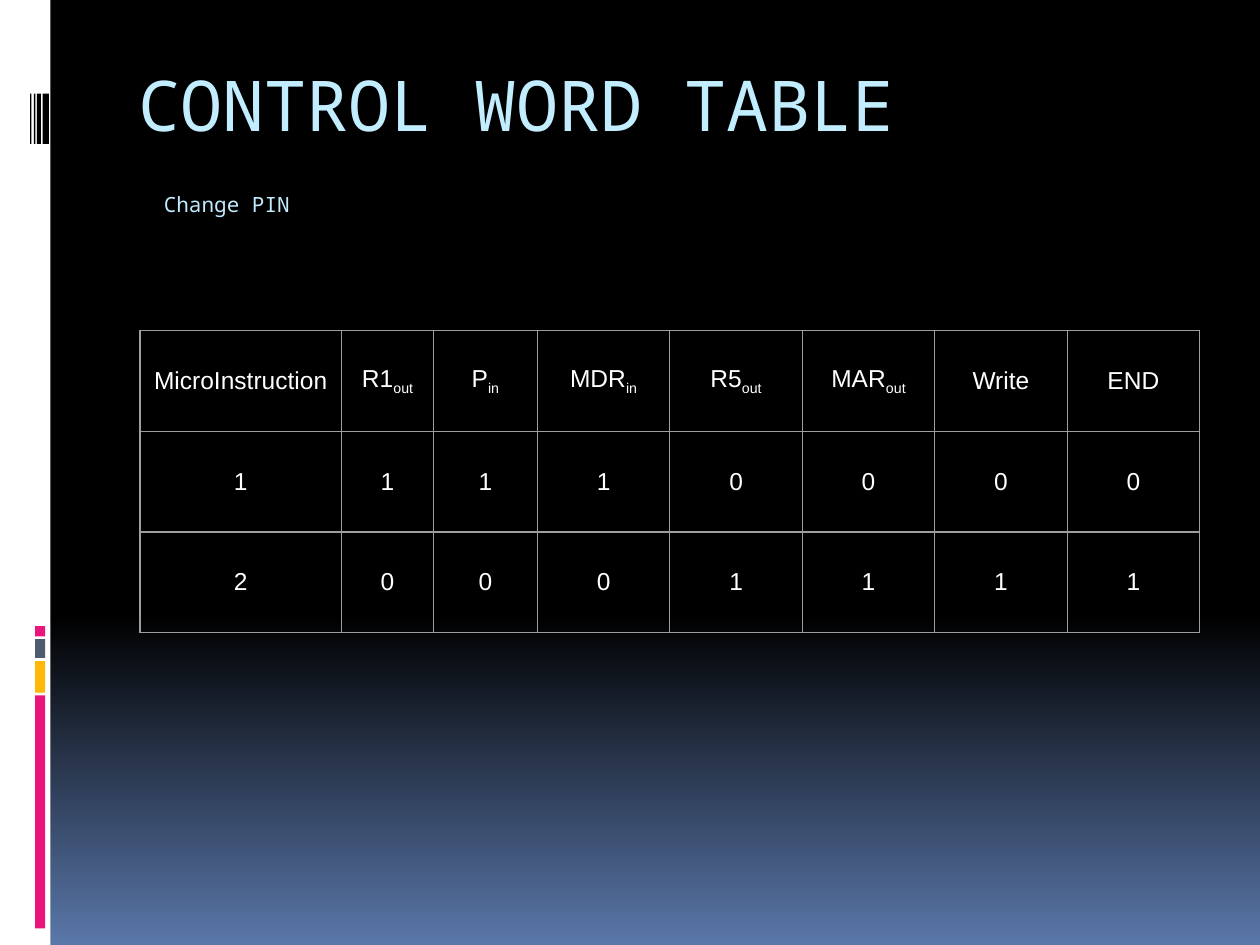
"""Build the control word table slide for the Change PIN operation."""
from copy import deepcopy

from lxml.etree import SubElement
from pptx import Presentation
from pptx.dml.color import RGBColor
from pptx.enum.shapes import MSO_SHAPE
from pptx.enum.text import MSO_ANCHOR, MSO_AUTO_SIZE, PP_ALIGN
from pptx.oxml.ns import qn
from pptx.util import Pt

BLACK = RGBColor(0x00, 0x00, 0x00)
WHITE = RGBColor(0xFF, 0xFF, 0xFF)
BLUE = RGBColor(0x5A, 0x77, 0xA9)
PALE = RGBColor(0xC1, 0xED, 0xFF)
PINK = RGBColor(0xEA, 0x15, 0x7A)
AMBER = RGBColor(0xFE, 0xB8, 0x0A)
SLATE = RGBColor(0x4E, 0x5B, 0x6F)
GRID = RGBColor(0x9E, 0x9E, 0x9E)

BARCODE = [(17.2, 0.7), (19.4, 0.9), (21.1, 2.3), (24.4, 3.6)]
ACCENTS = [(357.8, 5.8, PINK), (365.2, 10.8, SLATE), (377.8, 18, AMBER), (397.4, 133.2, PINK)]
COLUMNS = [115.2, 52.5, 59.4] + [75.7] * 5
ROWS = [
    ["MicroInstruction", "R1_out", "P_in", "MDR_in", "R5_out", "MAR_out", "Write", "END"],
    list("11110000"),
    list("20001111"),
]


def write(tf, text, font="Arial", size=14, color=WHITE, align=PP_ALIGN.LEFT):
    """Write one paragraph; what follows an underscore is subscript."""
    p = tf.paragraphs[0]
    p.alignment = align
    p.space_before = Pt(0)
    base, _, sub = text.partition("_")
    for part, baseline in ((base, 0), (sub, -25000)):
        if part:
            r = p.add_run()
            r.text = part
            r.font.name = font
            r.font.size = Pt(size)
            r.font.color.rgb = color
            if baseline:
                r.font._element.set("baseline", str(baseline))


class Deck:
    """Hold the style and the current slide."""

    heading_font = "Noto Sans Mono"
    inset = Pt(7.2)

    def __init__(self):
        self.prs = Presentation()
        self.prs.slide_width, self.prs.slide_height = Pt(720), Pt(540)
        self.s = self.prs.slides.add_slide(self.prs.slide_layouts[0])

    def background(self):
        """Fade from black to blue over the lower third."""
        fill = self.s.background.fill
        fill.gradient()
        fill.gradient_angle = 270
        for stop, pos, color in zip(fill.gradient_stops, (0, 1), (BLACK, BLUE)):
            stop.position = pos
            stop.color.rgb = color
        first = self.s.element.xpath(".//p:bg//a:gs")[0]
        middle = deepcopy(first)
        middle.set("pos", "65000")
        first.addnext(middle)

    def rect(self, x, y, w, h, color):
        """Add a plain filled rectangle."""
        sp = self.s.shapes.add_shape(MSO_SHAPE.RECTANGLE, Pt(x), Pt(y), Pt(w), Pt(h))
        sp.shadow.inherit = False
        sp.fill.solid()
        sp.fill.fore_color.rgb = color
        sp.line.fill.background()

    def heading(self, idx, text, x, y, w, h, size, top=7.2):
        """Place and fill a heading placeholder."""
        sp = self.s.placeholders[idx]
        sp.left, sp.top, sp.width, sp.height = Pt(x), Pt(y), Pt(w), Pt(h)
        tf = sp.text_frame
        tf.word_wrap = True
        tf.auto_size = MSO_AUTO_SIZE.NONE
        tf.vertical_anchor = MSO_ANCHOR.TOP
        tf.margin_left = tf.margin_right = tf.margin_bottom = self.inset
        tf.margin_top = Pt(top)
        write(tf, text, font=self.heading_font, size=size, color=PALE)

    def borders(self, cell):
        """Draw a thin line on each side of a cell."""
        tcPr = cell._tc.get_or_add_tcPr()
        for side in ("lnL", "lnR", "lnT", "lnB"):
            ln = SubElement(tcPr, qn(f"a:{side}"), w=str(Pt(0.75)))
            fill = SubElement(ln, qn("a:solidFill"))
            SubElement(fill, qn("a:srgbClr"), val=str(GRID))

    def table(self, rows, widths, x, y, row_height):
        """Add a ruled table with clear cells."""
        table = self.s.shapes.add_table(
            len(rows), len(widths), Pt(x), Pt(y), Pt(sum(widths)), Pt(row_height * len(rows))
        ).table
        table.first_row = table.horz_banding = False
        for column, width in zip(table.columns, widths):
            column.width = Pt(width)
        for i, row in enumerate(rows):
            table.rows[i].height = Pt(row_height)
            for j, text in enumerate(row):
                cell = table.cell(i, j)
                self.borders(cell)
                cell.fill.background()
                cell.vertical_anchor = MSO_ANCHOR.MIDDLE
                cell.margin_left = cell.margin_right = self.inset
                cell.margin_top = cell.margin_bottom = self.inset
                write(cell.text_frame, text, align=PP_ALIGN.CENTER)


def main():
    """Build and save the slide."""
    deck = Deck()
    deck.background()
    deck.rect(0, 0, 28.8, 540, WHITE)
    for y, h, color in ACCENTS:
        deck.rect(20, y, 5.8, h, color)
    for x, w in BARCODE:
        deck.rect(x, 53.5, w, 28.8, BLACK)
    deck.heading(0, "CONTROL WORD TABLE", 72, 30, 612, 72, 40, top=5)
    deck.heading(1, "Change PIN", 86.4, 102, 90, 29.5, 12)
    deck.table(ROWS, COLUMNS, 80, 189, 57.5)
    deck.prs.save("out.pptx")


if __name__ == "__main__":
    main()
